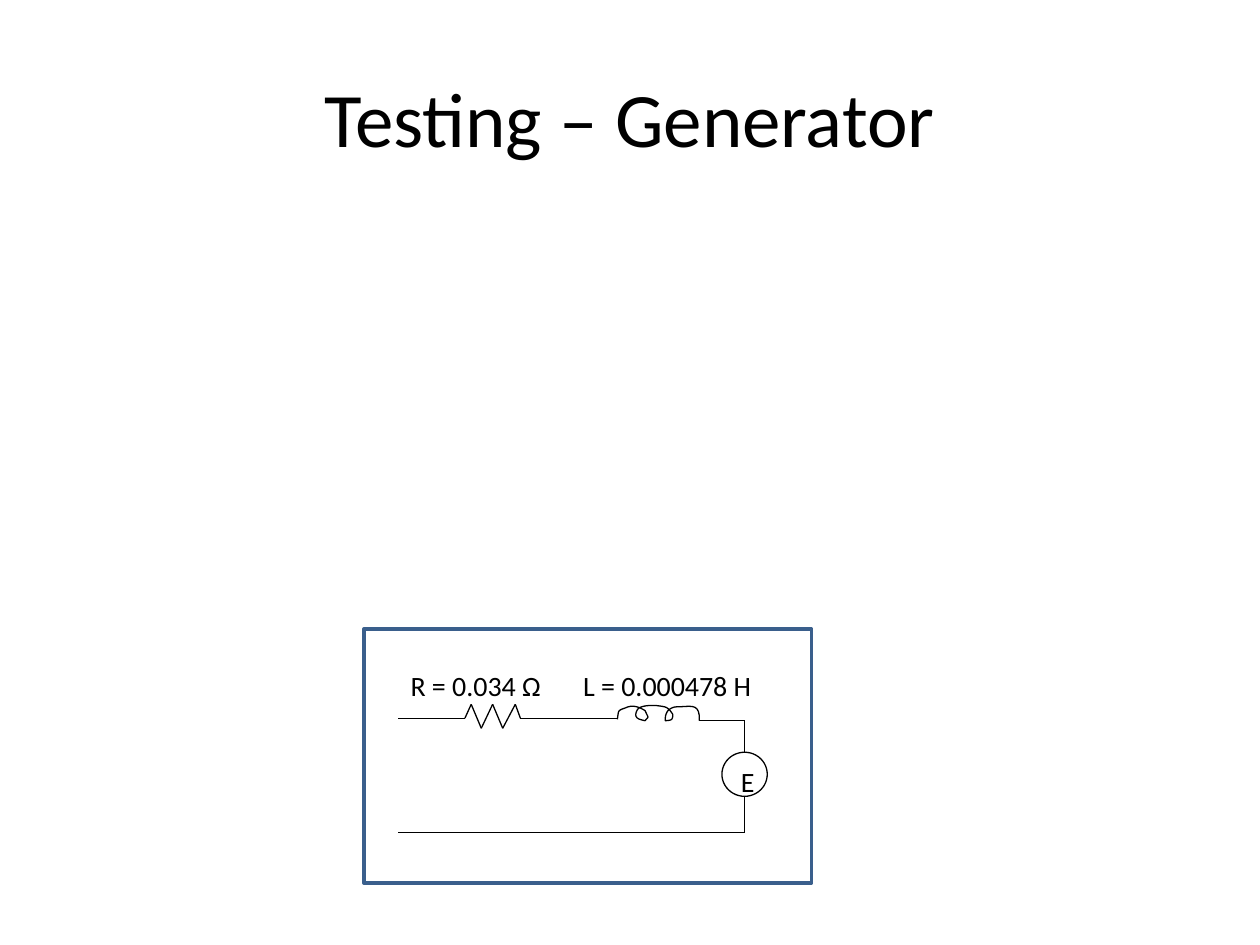
from itertools import pairwise

from lxml import etree
from pptx import Presentation
from pptx.dml.color import RGBColor
from pptx.enum.shapes import MSO_CONNECTOR as Connector, MSO_SHAPE as Shape
from pptx.enum.text import MSO_ANCHOR as Anchor, PP_ALIGN as Align
from pptx.oxml.ns import qn
from pptx.util import Inches, Pt

COLORS = {"ink": "000000", "paper": "FFFFFF", "frame": "3A5F8C"}
FONT = "Calibri"

# Circuit geometry, in inches from the top left of the frame
RESISTOR = [(0.8, 0.71), (0.85, 0.6), (0.93, 0.79), (1.02, 0.6),
            (1.1, 0.79), (1.2, 0.6), (1.24, 0.71)]
WIRES = [
    [(0.27, 0.71), RESISTOR[0]],
    [RESISTOR[-1], (2.01, 0.71)],
    [(2.66, 0.73), (3.02, 0.73), (3.02, 0.98)],
    [(3.02, 1.33), (3.02, 1.62), (0.27, 1.62)],
]
# Coil start, then two control points and an end point for each curve
COIL_START = (2.01, 0.72)
COIL_CURVES = [
    [(2.02, 0.65), (2.01, 0.65), (2.07, 0.63)],
    [(2.13, 0.6), (2.18, 0.62), (2.23, 0.65)],
    [(2.26, 0.72), (2.26, 0.69), (2.23, 0.73)],
    [(2.18, 0.72), (2.13, 0.71), (2.17, 0.64)],
    [(2.2, 0.6), (2.32, 0.61), (2.32, 0.61)],
    [(2.4, 0.62), (2.41, 0.62), (2.45, 0.68)],
    [(2.45, 0.69), (2.45, 0.71), (2.44, 0.72)],
    [(2.43, 0.73), (2.39, 0.73), (2.39, 0.73)],
    [(2.39, 0.71), (2.39, 0.69), (2.4, 0.67)],
    [(2.41, 0.64), (2.45, 0.62), (2.48, 0.62)],
    [(2.58, 0.62), (2.65, 0.59), (2.66, 0.69)],
    [(2.66, 0.7), (2.66, 0.71), (2.66, 0.73)],
]


def color(name):
    return RGBColor.from_string(COLORS[name])


def set_line(shape, name="ink", width=0.75):
    shape.line.color.rgb = color(name)
    shape.line.width = Pt(width)


def write(frame, text, size, align=Align.LEFT, anchor=Anchor.TOP, after=0):
    frame.word_wrap = True
    frame.vertical_anchor = anchor
    para = frame.paragraphs[0]
    para.alignment = align
    para.space_after = Pt(after)
    span = para.add_run()
    span.text = text
    span.font.name = FONT
    span.font.size = Pt(size)
    span.font.color.rgb = color("ink")


def curve_points(start, curves, steps=8):
    """Points along a chain of cubic curves."""
    points = [start]
    for first, second, end in curves:
        corners = (points[-1], first, second, end)
        for step in range(1, steps + 1):
            t = step / steps
            weights = ((1 - t) ** 3, 3 * t * (1 - t) ** 2, 3 * t * t * (1 - t), t ** 3)
            points.append(tuple(sum(w * corner[axis] for w, corner in zip(weights, corners))
                                for axis in (0, 1)))
    return points


def add_title(page, text, left, top, width, height):
    title = page.shapes.title
    title.left, title.top = Inches(left), Inches(top)
    title.width, title.height = Inches(width), Inches(height)
    write(title.text_frame, text, 44, Align.CENTER, Anchor.MIDDLE)


def add_circuit(page, left, top, width, height):
    parts = page.shapes.add_group_shape().shapes

    def place(x, y):
        return Inches(left + x), Inches(top + y)

    # Frame
    box = parts.add_shape(Shape.RECTANGLE, *place(0, 0), Inches(width), Inches(height))
    box.shadow.inherit = False
    box.fill.solid()
    box.fill.fore_color.rgb = color("paper")
    set_line(box, "frame", 2)

    # Resistor and wires
    for route in [RESISTOR, *WIRES]:
        for start, end in pairwise(route):
            wire = parts.add_connector(Connector.STRAIGHT, *place(*start), *place(*end))
            set_line(wire)
            etree.SubElement(wire._element.spPr, qn("a:effectLst"))

    # Coil
    points = [place(*point) for point in curve_points(COIL_START, COIL_CURVES)]
    builder = parts.build_freeform(*points[0])
    builder.add_line_segments(points[1:], close=False)
    coil = builder.convert_to_shape()
    coil.shadow.inherit = False
    coil.fill.background()
    set_line(coil)

    # Voltage source
    source = parts.add_shape(Shape.OVAL, *place(2.84, 0.98), Inches(0.36), Inches(0.35))
    source.shadow.inherit = False
    source.fill.background()
    set_line(source)
    write(source.text_frame, "E", 16, after=10)

    # Component labels
    for x, label_width, text in [(0.27, 1.28, "R = 0.034 \u2126"),
                                 (1.64, 1.56, "L = 0.000478 H")]:
        label = parts.add_textbox(*place(x, 0.27), Inches(label_width), Inches(0.34))
        write(label.text_frame, text, 16, after=10)


deck = Presentation()
deck.slide_width, deck.slide_height = Inches(10), Inches(7.5)
page = deck.slides.add_slide(deck.slide_layouts[5])
add_title(page, "Testing \u2013 Generator", 0.5, 0.3, 9, 1.25)
add_circuit(page, 2.89, 4.99, 3.55, 2.02)
deck.save("out.pptx")
